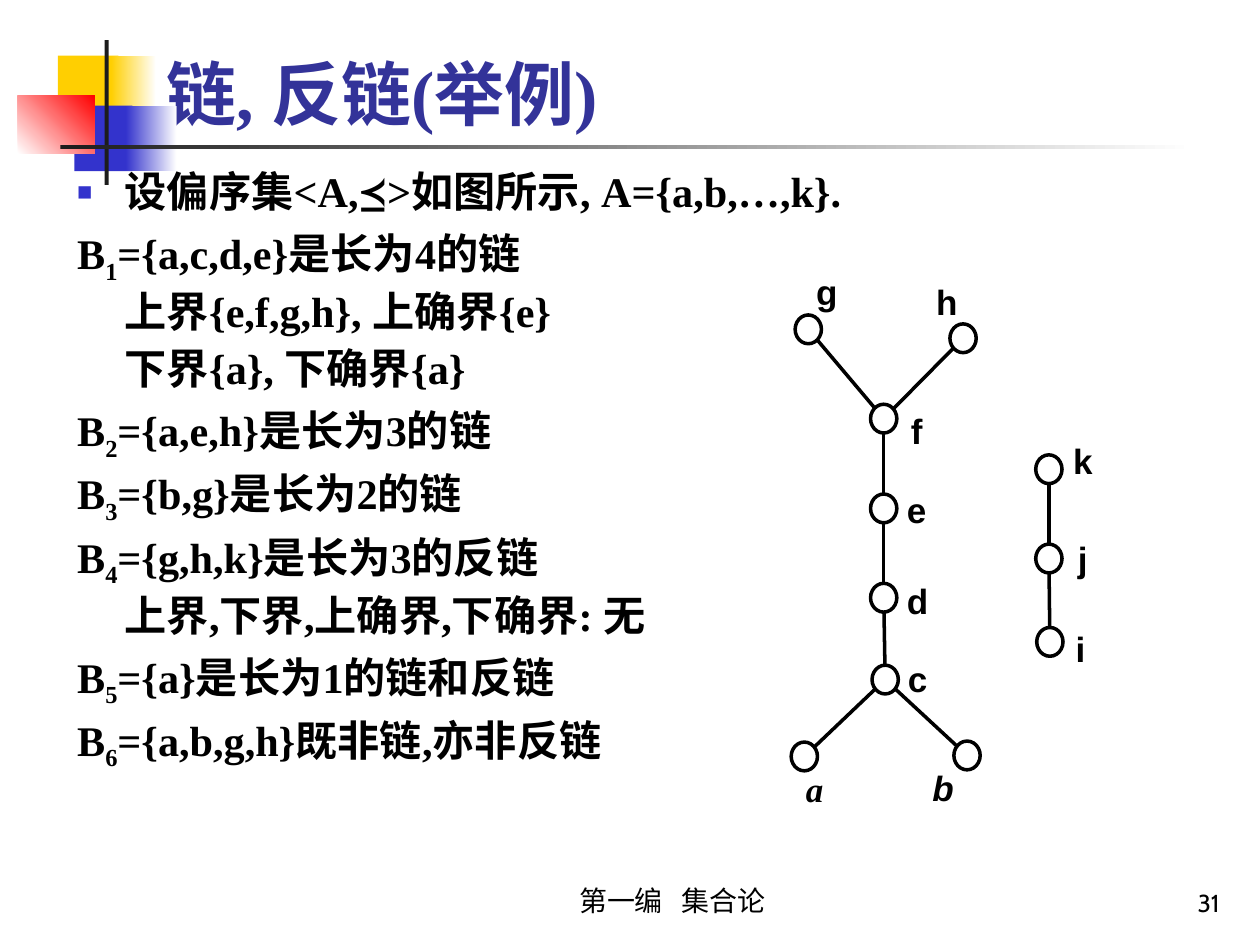
import math

from lxml import etree
from pptx import Presentation
from pptx.dml.color import RGBColor
from pptx.enum.shapes import MSO_CONNECTOR, MSO_SHAPE
from pptx.enum.text import MSO_ANCHOR, MSO_AUTO_SIZE, PP_ALIGN
from pptx.oxml.ns import qn
from pptx.util import Cm, Pt

RECTANGLE, OVAL = MSO_SHAPE.RECTANGLE, MSO_SHAPE.OVAL
STRAIGHT = MSO_CONNECTOR.STRAIGHT
TOP, BOTTOM = MSO_ANCHOR.TOP, MSO_ANCHOR.BOTTOM
LEFT, CENTER, RIGHT = PP_ALIGN.LEFT, PP_ALIGN.CENTER, PP_ALIGN.RIGHT
NO_FIT = MSO_AUTO_SIZE.NONE

BLACK = RGBColor(0x00, 0x00, 0x00)
WHITE = RGBColor(0xFF, 0xFF, 0xFF)
YELLOW = RGBColor(0xFF, 0xCF, 0x01)
BLUE = RGBColor(0x33, 0x33, 0xCC)
RED = RGBColor(0xFF, 0x00, 0x00)
CHARCOAL = RGBColor(0x1C, 0x1C, 0x1C)
INDIGO = RGBColor(0x33, 0x33, 0x99)

SERIF, SANS, NUMBER_FONT = "Times New Roman", "Arial", "Cabin"
TITLE_FORMAT = {"name": SERIF, "size": Pt(40), "bold": True}
BODY_FORMAT = {"name": SERIF, "size": Pt(24.1), "bold": True}
FOOTER_FORMAT = {"name": SERIF, "size": Pt(16)}
NUMBER_FORMAT = {"name": NUMBER_FONT, "size": Pt(14)}
LABEL_FORMAT = {"name": SANS, "size": Pt(20), "bold": True}
LABEL_CHANGES = {"a": {"name": SERIF, "italic": True}, "b": {"italic": True}}

DECORATIONS = [
    ((1.17, 1.12, 1.22, 1.32), [YELLOW], 0),
    ((2.24, 1.12, 0.91, 1.32), [YELLOW, WHITE], 0),
    ((1.5, 2.13, 1.17, 1.32), [BLUE], 0),
    ((2.54, 2.13, 1.02, 1.32), [BLUE, WHITE], 0),
    ((0.36, 1.93, 1.55, 1.17), [WHITE, RED], 45),
    ((2.11, 0.81, 0.08, 2.92), [CHARCOAL], 0),
    ((1.22, 2.92, 22.86, 0.08), [CHARCOAL, WHITE], 0),
]

BODY_LINES = [
    ["设偏序集<A,≼>如图所示, A={a,b,…,k}."],
    ["B", "1", "={a,c,d,e}是长为4的链"],
    ["\t上界{e,f,g,h}, 上确界{e}"],
    ["\t下界{a}, 下确界{a}"],
    ["B", "2", "={a,e,h}是长为3的链"],
    ["B", "3", "={b,g}是长为2的链"],
    ["B", "4", "={g,h,k}是长为3的反链"],
    ["\t上界,下界,上确界,下确界: 无"],
    ["B", "5", "={a}是长为1的链和反链"],
    ["B", "6", "={a,b,g,h}既非链,亦非反链"],
]

NODE_WIDTH, NODE_HEIGHT = 0.53, 0.58
NODES = {
    "a": (15.95, 14.96), "b": (19.23, 14.94), "c": (17.58, 13.41),
    "d": (17.55, 11.76), "e": (17.55, 9.96), "f": (17.55, 8.15),
    "g": (16.03, 6.35), "h": (19.15, 6.53),
    "i": (20.9, 12.65), "j": (20.88, 10.97), "k": (20.88, 9.17),
}
LABELS = {
    "a": (15.9, 15.34), "b": (18.49, 15.32), "c": (17.98, 13.13),
    "d": (17.98, 11.56), "e": (17.96, 9.73), "f": (17.96, 8.13),
    "g": (16.15, 5.33), "h": (18.57, 5.54),
    "i": (21.26, 12.52), "j": (21.31, 10.72), "k": (21.31, 8.74),
}
EDGES = ["ac", "bc", "cd", "de", "ef", "fg", "fh", "ij", "jk"]


def add_span(para, text, formats, color):
    span = para.add_run()
    span.text = text
    for name, value in formats.items():
        setattr(span.font, name, value)
    span.font.color.rgb = color
    return span


def place(box, area, anchor):
    box.left, box.top, box.width, box.height = map(Cm, area)
    frame = box.text_frame
    frame.word_wrap = True
    frame.auto_size = NO_FIT
    frame.vertical_anchor = anchor
    return frame


def add_text(slide, area, text, formats, align, anchor):
    box = slide.shapes.add_textbox(*map(Cm, area))
    para = place(box, area, anchor).paragraphs[0]
    para.alignment = align
    add_span(para, text, formats, BLACK)


def add_decoration(slide, area, colors, angle):
    shape = slide.shapes.add_shape(RECTANGLE, *map(Cm, area))
    shape.shadow.inherit = False
    shape.line.fill.background()
    if len(colors) == 1:
        shape.fill.solid()
        shape.fill.fore_color.rgb = colors[0]
        return
    shape.fill.gradient()
    shape.fill.gradient_angle = angle
    for stop, color in zip(shape.fill.gradient_stops, colors):
        stop.color.rgb = color


def set_bullet(para, bulleted):
    properties = para._p.get_or_add_pPr()
    properties.set("marL", str(Cm(0.96)))
    properties.set("indent", str(Cm(-0.96)))
    if not bulleted:
        etree.SubElement(properties, qn("a:buNone"))
        return
    color = etree.SubElement(properties, qn("a:buClr"))
    etree.SubElement(color, qn("a:srgbClr"), val=str(BLUE))
    etree.SubElement(properties, qn("a:buSzPct"), val="60000")
    etree.SubElement(properties, qn("a:buFont"), typeface=SANS)
    etree.SubElement(properties, qn("a:buChar"), char="■")


def fill_title(title):
    para = place(title, (3.1, 0.71, 21.64, 2.13), BOTTOM).paragraphs[0]
    para.alignment = LEFT
    add_span(para, "链, 反链(举例)", TITLE_FORMAT, INDIGO)


def fill_body(body):
    frame = place(body, (1.3, 3.33, 23.19, 13.79), TOP)
    for index, parts in enumerate(BODY_LINES):
        para = frame.add_paragraph() if index else frame.paragraphs[0]
        set_bullet(para, index == 0)
        para.line_spacing = 0.9
        para.space_before = Pt(6.5 if index else 0)
        for text in parts:
            span = add_span(para, text, BODY_FORMAT, BLACK)
            if text.isdigit():
                span.font._element.set("baseline", "-25000")


def add_node(slide, name):
    left, top = NODES[name]
    area = (left, top, NODE_WIDTH, NODE_HEIGHT)
    node = slide.shapes.add_shape(OVAL, *map(Cm, area))
    node.shadow.inherit = False
    node.fill.background()
    node.line.color.rgb = BLACK
    node.line.width = Pt(2)


def add_edge(slide, start, end):
    (x1, y1), (x2, y2) = [
        (left + NODE_WIDTH / 2, top + NODE_HEIGHT / 2)
        for left, top in (NODES[start], NODES[end])
    ]
    trim = NODE_HEIGHT / 2 / math.hypot(x2 - x1, y2 - y1)
    dx, dy = (x2 - x1) * trim, (y2 - y1) * trim
    ends = (x1 + dx, y1 + dy, x2 - dx, y2 - dy)
    edge = slide.shapes.add_connector(STRAIGHT, *map(Cm, ends))
    edge.line.color.rgb = BLACK
    edge.line.width = Pt(2)
    etree.SubElement(edge._element.spPr, qn("a:effectLst"))


def add_diagram(slide):
    for start, end in EDGES:
        add_edge(slide, start, end)
    for name, (left, top) in LABELS.items():
        add_node(slide, name)
        formats = {**LABEL_FORMAT, **LABEL_CHANGES.get(name, {})}
        add_text(slide, (left, top, 1.04, 0.79), name, formats, CENTER, TOP)


def main():
    deck = Presentation()
    deck.slide_width, deck.slide_height = Cm(25.4), Cm(19.05)
    slide = deck.slides.add_slide(deck.slide_layouts[1])
    for area, colors, angle in DECORATIONS:
        add_decoration(slide, area, colors, angle)
    fill_title(slide.shapes.title)
    fill_body(slide.placeholders[1])
    add_text(slide, (9.53, 17.35, 8.05, 1.27), "第一编   集合论",
             FOOTER_FORMAT, CENTER, BOTTOM)
    add_text(slide, (19.56, 17.35, 5.28, 1.27), "31",
             NUMBER_FORMAT, RIGHT, BOTTOM)
    add_diagram(slide)
    deck.save("out.pptx")


if __name__ == "__main__":
    main()
